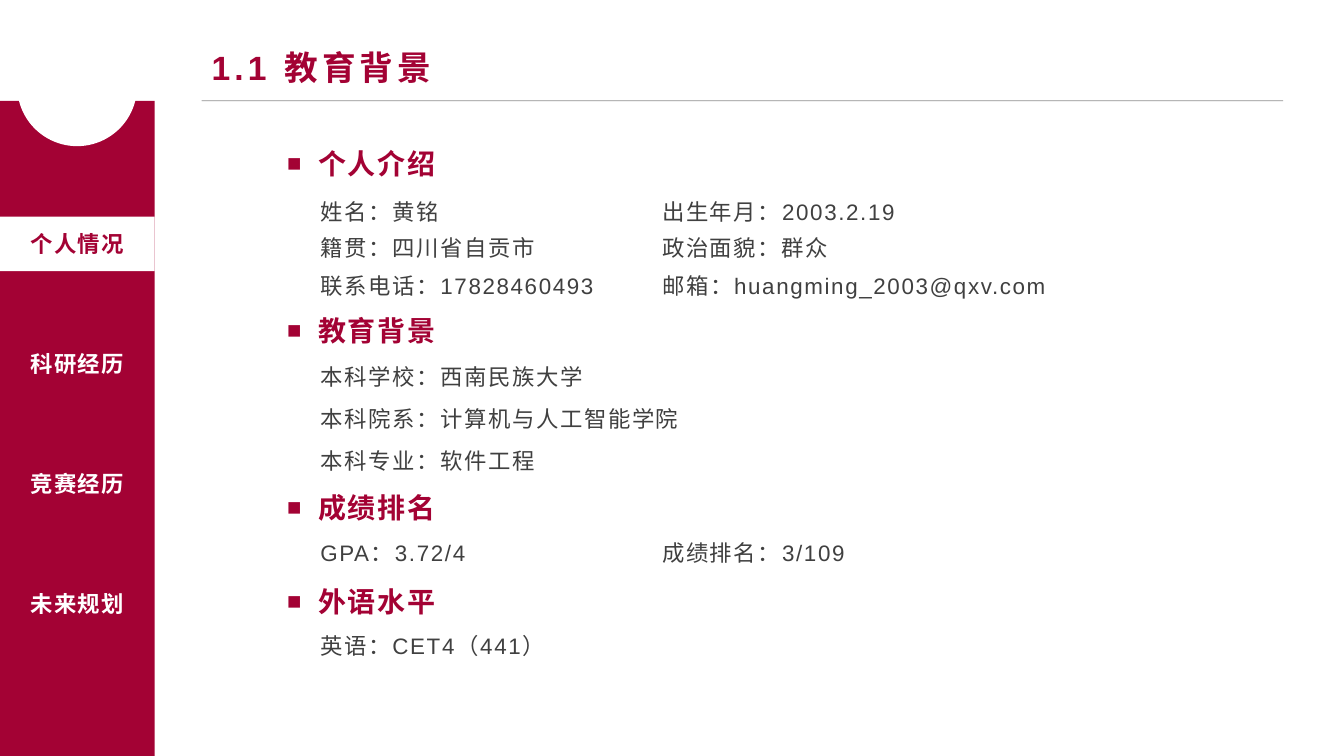
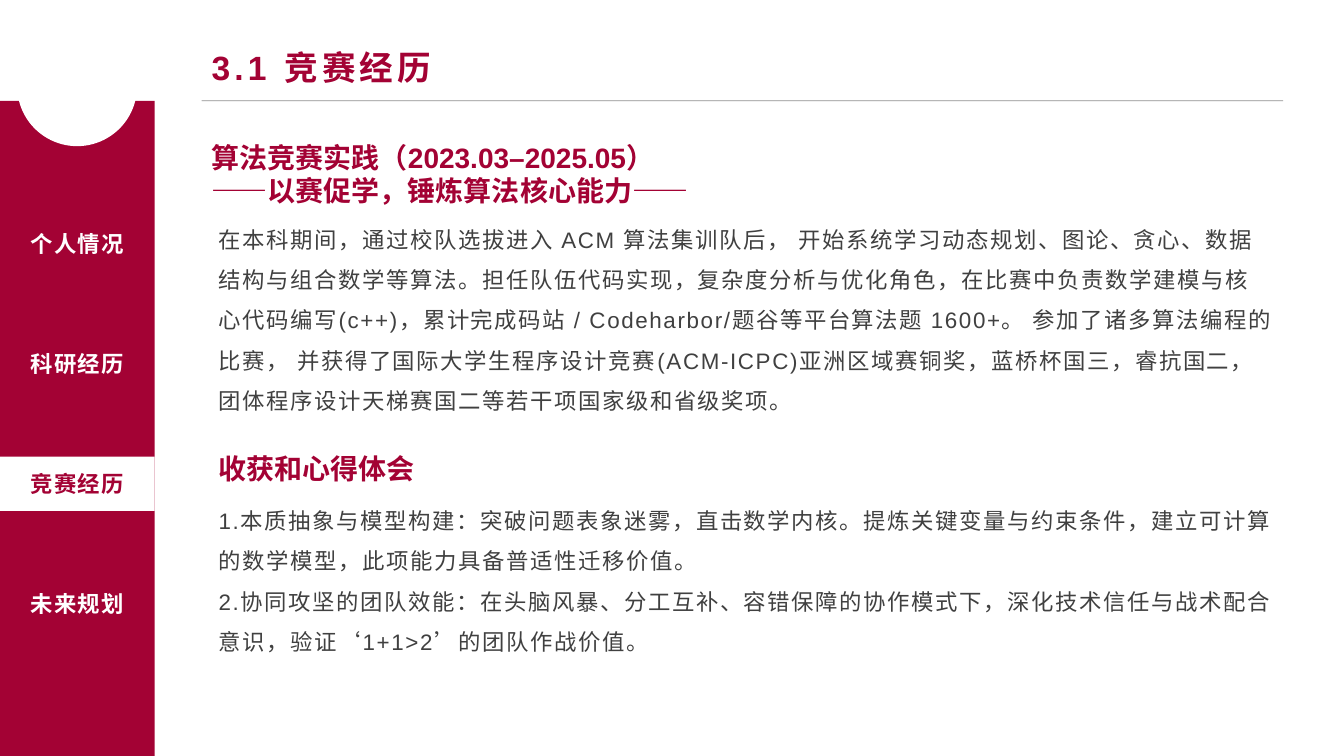
from dataclasses import dataclass

from lxml import etree
from pptx import Presentation
from pptx.dml.color import RGBColor
from pptx.enum.shapes import MSO_CONNECTOR, MSO_SHAPE
from pptx.enum.text import MSO_ANCHOR, MSO_AUTO_SIZE, PP_ALIGN
from pptx.oxml.ns import qn
from pptx.util import Emu, Inches, Pt

CRIMSON = RGBColor(0xA3, 0x02, 0x34)
WHITE = RGBColor(0xFF, 0xFF, 0xFF)
INK = RGBColor(0x40, 0x40, 0x40)
RULE = RGBColor(0x0D, 0x0D, 0x0D)

STRAIGHT = MSO_CONNECTOR.STRAIGHT
RECT, OVAL = MSO_SHAPE.RECTANGLE, MSO_SHAPE.OVAL
TOP, MIDDLE = MSO_ANCHOR.TOP, MSO_ANCHOR.MIDDLE
LEFT, CENTER = PP_ALIGN.LEFT, PP_ALIGN.CENTER
GROW, FIXED = MSO_AUTO_SIZE.SHAPE_TO_FIT_TEXT, MSO_AUTO_SIZE.NONE

WIDTH, HEIGHT = Inches(13.333), Inches(7.5)
COL, ROW = WIDTH / 40, HEIGHT / 30
CJK = "Noto Sans CJK SC"

MENU = ("个人情况", "科研经历", "竞赛经历", "未来规划")
MENU_TOP, MENU_STEP, MENU_HEIGHT = 8.6, 4.76, 2.16
BAR_WIDTH = 4.6
FACT_COLS = (9.24, 19.41)
HEADING_COL, HEADING_HEIGHT = 8.25, 1.76
FACT_HEIGHT = 1.48


@dataclass(frozen=True)
class Style:
    size: int
    color: RGBColor
    bold: bool = False
    spacing: float = 0
    name: str = "Arial"
    line_spacing: float = 1.0
    align: PP_ALIGN = LEFT
    bullet: bool = False


@dataclass(frozen=True)
class Box:
    col: float
    row: float
    cols: float
    rows: float

    def emu(self) -> list[Emu]:
        return [Emu(round(n)) for n in
                (self.col * COL, self.row * ROW, self.cols * COL, self.rows * ROW)]


@dataclass(frozen=True)
class FactRow:
    row: float
    texts: tuple[str, ...]
    widths: tuple[float, ...] = (8.28, 8.88)


@dataclass(frozen=True)
class Section:
    row: float
    title: str
    facts: tuple[FactRow, ...]


@dataclass(frozen=True)
class Passage:
    box: Box
    style: Style
    texts: tuple[str, ...]
    fit: MSO_AUTO_SIZE


TITLE = Style(24, CRIMSON, True, 3)
HEADING = Style(20, CRIMSON, True, 1.2, bullet=True)
SUBTITLE = Style(20, CRIMSON, True)
FACT = Style(16, INK, spacing=1.2)
BODY = Style(16, INK, spacing=1.2, line_spacing=1.5)
MENU_ITEM = Style(16, WHITE, True, 1.1, CJK, align=CENTER)
MENU_ACTIVE = Style(16, CRIMSON, True, 1.1, CJK, align=CENTER)

SECTIONS = (
    Section(5.6, "个人介绍", (
        FactRow(7.68, ("姓名：黄铭", "出生年月：2003.2.19")),
        FactRow(9.08, ("籍贯：四川省自贡市", "政治面貌：群众")),
        FactRow(10.6, ("联系电话：17828460493", "邮箱：huangming_2003@qxv.com"), (9.3, 13.95)),
    )),
    Section(12.24, "教育背景", tuple(
        FactRow(14.2 + 1.68 * i, (text,), (23.34,)) for i, text in enumerate(
            ("本科学校：西南民族大学", "本科院系：计算机与人工智能学院", "本科专业：软件工程"))
    )),
    Section(19.28, "成绩排名", (FactRow(21.18, ("GPA：3.72/4", "成绩排名：3/109")),)),
    Section(23, "外语水平", (FactRow(24.88, ("英语：CET4（441）",), (23.34,)),)),
)

PASSAGES = (
    Passage(Box(6, 5.36, 26.1, 3.08), SUBTITLE, (
        "算法竞赛实践（2023.03–2025.05）",
        "——以赛促学，锤炼算法核心能力——",
    ), GROW),
    Passage(Box(6.21, 8.24, 31.98, 9.12), BODY, (
        "在本科期间，通过校队选拔进入 ACM 算法集训队后， 开始系统学习动态规划、图论、贪心、"
        "数据结构与组合数学等算法。担任队伍代码实现，复杂度分析与优化角色，在比赛中负责数学建模"
        "与核心代码编写(c++)，累计完成码站 / Codeharbor/题谷等平台算法题 1600+。 "
        "参加了诸多算法编程的比赛， 并获得了国际大学生程序设计竞赛(ACM-ICPC)亚洲区域赛铜奖，"
        "蓝桥杯国三，睿抗国二，团体程序设计天梯赛国二等若干项国家级和省级奖项。",
    ), FIXED),
    Passage(Box(6.21, 17.72, 13.32, 1.76), SUBTITLE, ("收获和心得体会",), GROW),
    Passage(Box(6.21, 19.4, 32.52, 7.8), BODY, (
        "1.本质抽象与模型构建：突破问题表象迷雾，直击数学内核。提炼关键变量与约束条件，"
        "建立可计算的数学模型，此项能力具备普适性迁移价值。",
        "2.协同攻坚的团队效能：在头脑风暴、分工互补、容错保障的协作模式下，"
        "深化技术信任与战术配合意识，验证‘1+1>2’的团队作战价值。",
    ), FIXED),
)


def set_attrs(target, formats: dict) -> None:
    for key, value in formats.items():
        setattr(target, key, value)


def add_bullet(p) -> None:
    pPr = p._p.get_or_add_pPr()
    pPr.set("marL", str(Inches(0.31)))
    pPr.set("indent", str(-Inches(0.31)))
    for tag, key, value in (("a:buSzPct", "val", "85000"),
                            ("a:buFont", "typeface", "Arial"),
                            ("a:buChar", "char", "■")):
        etree.SubElement(pPr, qn(tag)).set(key, value)


def write(tf, texts: tuple[str, ...], style: Style, anchor=TOP, fit=FIXED) -> None:
    set_attrs(tf, {"word_wrap": True, "auto_size": fit, "vertical_anchor": anchor})
    for i, text in enumerate(texts):
        p = tf.paragraphs[0] if i == 0 else tf.add_paragraph()
        set_attrs(p, {"alignment": style.align, "line_spacing": style.line_spacing})
        if style.bullet:
            add_bullet(p)
        r = p.add_run()
        r.text = text
        set_attrs(r.font, {"size": Pt(style.size), "bold": style.bold, "name": style.name})
        r.font.color.rgb = style.color
        rPr = r._r.get_or_add_rPr()
        rPr.set("lang", "zh-CN")
        rPr.set("spc", str(round(style.spacing * 100)))
        etree.SubElement(rPr, qn("a:ea")).set("typeface", CJK)


def add_text(s, box: Box, texts: tuple[str, ...], style: Style, anchor=TOP, fit=GROW) -> None:
    write(s.shapes.add_textbox(*box.emu()).text_frame, texts, style, anchor, fit)


def add_block(s, preset: MSO_SHAPE, box: Box, color: RGBColor):
    sp = s.shapes.add_shape(preset, *box.emu())
    sp.shadow.inherit = False
    sp.fill.solid()
    sp.fill.fore_color.rgb = color
    sp.line.fill.background()
    return sp


def add_rule(s) -> None:
    x, y, w, _ = Box(6, 4, 32.19, 0).emu()
    line = s.shapes.add_connector(STRAIGHT, x, y, x + w, y)
    line.line.width = Pt(0.5)
    line.line.color.rgb = RULE
    color = line._element.spPr.find(".//" + qn("a:srgbClr"))
    etree.SubElement(color, qn("a:alpha")).set("val", "46000")
    etree.SubElement(line._element.spPr, qn("a:effectLst"))


def add_frame(prs, title: str, active: str):
    s = prs.slides.add_slide(prs.slide_layouts[6])
    add_rule(s)
    add_text(s, Box(6, 1.68, 35.19 - 1.2, 2), (title,), TITLE)
    add_block(s, RECT, Box(0, 4, BAR_WIDTH, 26), CRIMSON)
    add_block(s, OVAL, Box(0.51, 1.04, 3.57, 4.76), WHITE)
    for i, item in enumerate(MENU):
        box = Box(0, MENU_TOP + i * MENU_STEP, BAR_WIDTH, MENU_HEIGHT)
        if item == active:
            sp = add_block(s, RECT, box, WHITE)
            write(sp.text_frame, (item,), MENU_ACTIVE, MIDDLE)
        else:
            add_text(s, box, (item,), MENU_ITEM, MIDDLE, FIXED)
    return s


def build_background(prs) -> None:
    s = add_frame(prs, "1.1 教育背景", "个人情况")
    for section in SECTIONS:
        add_text(s, Box(HEADING_COL, section.row, 19.68, HEADING_HEIGHT), (section.title,), HEADING)
        for fact in section.facts:
            for col, width, text in zip(FACT_COLS, fact.widths, fact.texts):
                add_text(s, Box(col, fact.row, width, FACT_HEIGHT), (text,), FACT)


def build_contests(prs) -> None:
    s = add_frame(prs, "3.1 竞赛经历", "竞赛经历")
    for passage in PASSAGES:
        add_text(s, passage.box, passage.texts, passage.style, fit=passage.fit)


def main() -> None:
    prs = Presentation()
    set_attrs(prs, {"slide_width": WIDTH, "slide_height": HEIGHT})
    build_background(prs)
    build_contests(prs)
    prs.save("out.pptx")


if __name__ == "__main__":
    main()
